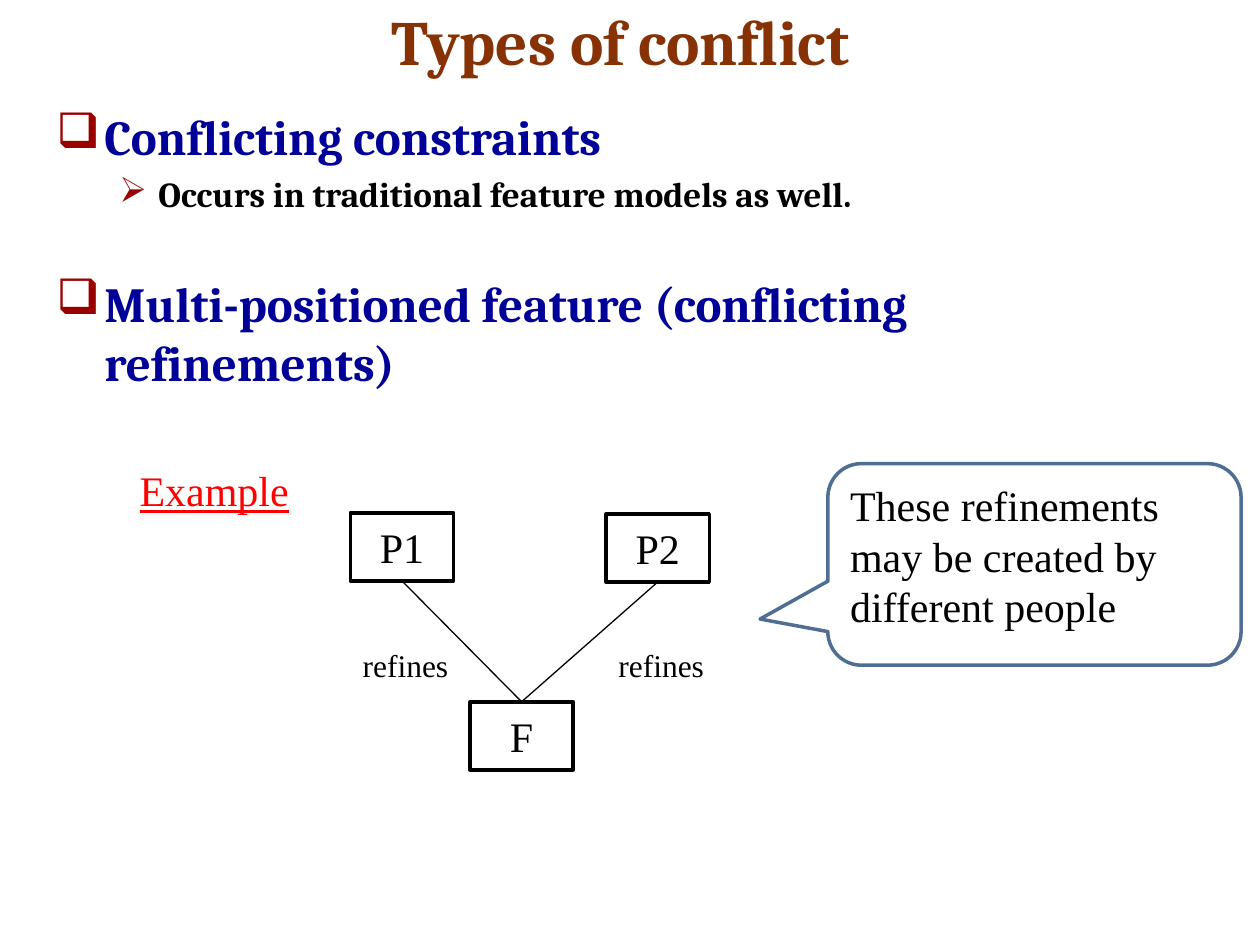
"""Build the slide on types of conflict between features."""
import pptx
import pptx.util
import pptx.dml.color
import pptx.enum.shapes
import pptx.enum.text
import lxml.etree
from pptx.oxml.ns import qn

Inches, Pt = pptx.util.Inches, pptx.util.Pt
RGBColor = pptx.dml.color.RGBColor
SHAPE = pptx.enum.shapes.MSO_SHAPE
ANCHOR = pptx.enum.text.MSO_ANCHOR
ALIGN = pptx.enum.text.PP_ALIGN

BROWN = RGBColor(0x86, 0x32, 0x04)
NAVY = RGBColor(0x00, 0x00, 0x99)
BULLET_RED = RGBColor(0x99, 0x00, 0x00)
RED = RGBColor(0xFF, 0x00, 0x00)
BLACK = RGBColor(0x00, 0x00, 0x00)
WHITE = RGBColor(0xFF, 0xFF, 0xFF)
STEEL = RGBColor(0x50, 0x6E, 0x94)
HEADING_FONT, DIAGRAM_FONT = "Cambria", "Times New Roman"

TITLE = "Types of conflict"
POINTS = [
    ("Conflicting constraints", 0, 5.6),
    ("Occurs in traditional feature models as well.", 1, 4),
    ("Multi-positioned feature (conflicting refinements)", 0, 33.6),
]
LEVELS = [
    {"bullet": "❑", "size": 28, "color": NAVY, "margin": 0.38, "hang": 0.38},
    {"bullet": "➢", "size": 20, "color": BLACK, "margin": 0.81, "hang": 0.31},
]
FEATURES = {"P1": (2.78, 4.07), "P2": (4.81, 4.08), "F": (3.73, 5.57)}
FEATURE_W, FEATURE_H = 0.82, 0.54
REFINEMENTS = [("P1", "F"), ("P2", "F")]
REFINES_TOP = 5.08
CALLOUT = "These refinements may be created by different people"
CALLOUT_ADJUST = (-0.664, 0.271, 0.167)


def style(paragraph, size, color, font=DIAGRAM_FONT, bold=False, underline=False):
    for run in paragraph.runs:
        run.font.name = font
        run.font.size = Pt(size)
        run.font.color.rgb = color
        run.font.bold = bold
        run.font.underline = underline


def add_label(slide, text, box, size, color, wrap=False, **look):
    frame = slide.shapes.add_textbox(*map(Inches, box)).text_frame
    frame.word_wrap = wrap
    frame.text = text
    style(frame.paragraphs[0], size, color, **look)
    return frame


def add_outlined(slide, kind, text, box, outline, align, anchor, wrap):
    outlined = slide.shapes.add_shape(kind, *map(Inches, box))
    outlined.shadow.inherit = False
    outlined.fill.solid()
    outlined.fill.fore_color.rgb = WHITE
    outlined.line.color.rgb = outline
    outlined.line.width = Pt(2)
    frame = outlined.text_frame
    frame.word_wrap = wrap
    frame.vertical_anchor = anchor
    frame.text = text
    frame.paragraphs[0].alignment = align
    style(frame.paragraphs[0], 24, BLACK)
    return outlined


def add_bullet(paragraph, level):
    props = paragraph._p.get_or_add_pPr()
    props.set("marL", str(Inches(level["margin"])))
    props.set("indent", str(-Inches(level["hang"])))
    color = lxml.etree.SubElement(props, qn("a:buClr"))
    lxml.etree.SubElement(color, qn("a:srgbClr")).set("val", str(BULLET_RED))
    lxml.etree.SubElement(props, qn("a:buChar")).set("char", level["bullet"])


def add_points(slide):
    frame = slide.shapes.add_textbox(*map(Inches, (0.35, 0.8, 9.23, 5.7))).text_frame
    frame.word_wrap = True
    frame.text = "\n".join(text for text, _, _ in POINTS)
    for paragraph, (_, depth, gap) in zip(frame.paragraphs, POINTS):
        level = LEVELS[depth]
        paragraph.level = depth
        paragraph.space_before = Pt(gap)
        add_bullet(paragraph, level)
        style(paragraph, level["size"], level["color"], HEADING_FONT, bold=True)


def add_diagram(slide):
    boxes = {}
    for name, (left, top) in FEATURES.items():
        boxes[name] = add_outlined(
            slide, SHAPE.RECTANGLE, name, (left, top, FEATURE_W, FEATURE_H),
            BLACK, ALIGN.CENTER, ANCHOR.MIDDLE, False)
    for parent, child in REFINEMENTS:
        refinement = slide.shapes.add_connector(
            pptx.enum.shapes.MSO_CONNECTOR.STRAIGHT, 0, 0, 0, 0)
        refinement.begin_connect(boxes[parent], 2)
        refinement.end_connect(boxes[child], 0)
        refinement.line.color.rgb = BLACK
        refinement.line.width = Pt(0.75)
        lxml.etree.SubElement(refinement._element.spPr, qn("a:effectLst"))
        add_label(slide, "refines", (FEATURES[parent][0], REFINES_TOP, 0.89, 0.4), 18, BLACK)


def main():
    deck = pptx.Presentation()
    deck.slide_width, deck.slide_height = Inches(10), Inches(7.5)
    slide = deck.slides.add_slide(deck.slide_layouts[6])
    title = add_label(slide, TITLE, (3.01, -0.03, 6.84, 0.7), 36, BROWN,
                      wrap=True, font=HEADING_FONT, bold=True)
    title.vertical_anchor = ANCHOR.BOTTOM
    add_points(slide)
    add_label(slide, "Example", (1.01, 3.64, 1.4, 0.5), 24, RED, underline=True)
    add_diagram(slide)
    callout = add_outlined(
        slide, SHAPE.ROUNDED_RECTANGULAR_CALLOUT, CALLOUT, (6.57, 3.68, 3.28, 1.6),
        STEEL, ALIGN.LEFT, ANCHOR.TOP, True)
    for index, value in enumerate(CALLOUT_ADJUST):
        callout.adjustments[index] = value
    deck.save("out.pptx")


if __name__ == "__main__":
    main()
